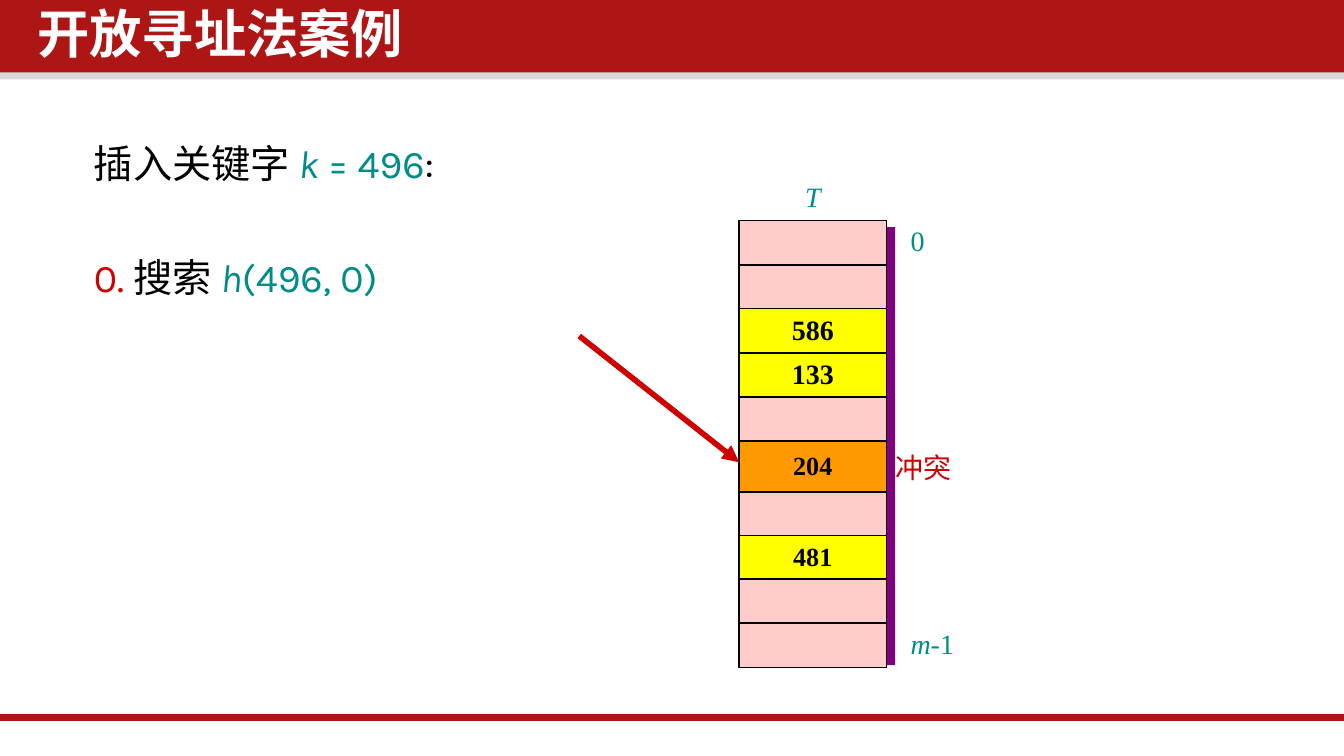
from lxml import etree
from pptx import Presentation
from pptx.dml.color import RGBColor
from pptx.enum import shapes, text
from pptx.oxml.ns import qn
from pptx.util import Inches, Pt

RED = RGBColor(0xAE, 0x16, 0x16)
BRIGHT_RED = RGBColor(0xCE, 0x00, 0x00)
GRAY = RGBColor(0xD9, 0xD9, 0xD9)
TEAL = RGBColor(0x00, 0x8C, 0x87)
PURPLE = RGBColor(0x80, 0x00, 0x80)
PINK = RGBColor(0xFF, 0xCC, 0xCC)
YELLOW = RGBColor(0xFF, 0xFF, 0x00)
ORANGE = RGBColor(0xFF, 0x99, 0x00)
BLACK = RGBColor(0, 0, 0)
WHITE = RGBColor(0xFF, 0xFF, 0xFF)

CJK, SANS, SERIF = "Noto Sans CJK SC", "Karla", "Times New Roman"
NO_STYLE = "{2D5ABB26-0587-4C30-8999-92F81FD0307C}"
TABLE_WIDTH, TABLE_HEIGHT = 2.19, 3.58

# Slots of the hash table: stored key, fill, key size
SLOTS = [
    ("", PINK, 15), ("", PINK, 15), ("586", YELLOW, 15), ("133", YELLOW, 15),
    ("", PINK, 15), ("204", ORANGE, 14), ("", PINK, 15), ("481", YELLOW, 14),
    ("", PINK, 15), ("", PINK, 15),
]
COLLISION_ROW = 6


def add_run(paragraph, words, size, font, color, bold=False, italic=False):
    run = paragraph.add_run()
    run.text = words
    run.font.size = Pt(size)
    run.font.name = font
    run.font.bold = bold
    run.font.italic = italic
    run.font.color.rgb = color
    etree.SubElement(run.font._element, qn("a:ea"), typeface=CJK)


def set_margins(box):
    box.margin_left = box.margin_right = Inches(0.07)
    box.margin_top = box.margin_bottom = Inches(0.04)


def add_bar(slide, left, top, width, height, color):
    bar = slide.shapes.add_shape(shapes.MSO_SHAPE.RECTANGLE, Inches(left),
                                 Inches(top), Inches(width), Inches(height))
    bar.shadow.inherit = False
    bar.fill.solid()
    bar.fill.fore_color.rgb = color
    bar.line.fill.background()


def add_line(slide, start, end, color, width, arrow=False):
    line = slide.shapes.add_connector(
        shapes.MSO_CONNECTOR.STRAIGHT, *map(Inches, start + end))
    line.line.color.rgb = color
    line.line.width = Pt(width)
    if arrow:
        etree.SubElement(line.line._get_or_add_ln(), qn("a:tailEnd"),
                         type="triangle")
    etree.SubElement(line._element.spPr, qn("a:effectLst"))


def set_title(slide, words):
    title = slide.shapes.title
    title.left, title.top = Inches(0.21), Inches(0.06)
    title.width, title.height = Inches(7.64), Inches(0.59)
    frame = title.text_frame
    set_margins(frame)
    frame.margin_top = 0
    frame.auto_size = text.MSO_AUTO_SIZE.NONE
    frame.vertical_anchor = text.MSO_ANCHOR.TOP
    heading = frame.paragraphs[0]
    heading.alignment = text.PP_ALIGN.LEFT
    heading.line_spacing = 0.9
    add_run(heading, words, 28, CJK, WHITE, bold=True)


def add_steps(slide, steps):
    frame = slide.shapes.add_textbox(Inches(0.6), Inches(1.03), Inches(8.62),
                                     Inches(3.57)).text_frame
    frame.word_wrap = True
    for i, parts in enumerate(steps):
        step = frame.add_paragraph() if i else frame.paragraphs[0]
        step.line_spacing = 0.9
        step.space_before = Pt(38 if i else 0)
        for words, color, italic in parts:
            add_run(step, words, 21, SANS, color, italic=italic)


def add_border(cell, sides):
    properties = cell._tc.get_or_add_tcPr()
    for i, side in enumerate(sides):
        line = etree.Element(qn(f"a:ln{side}"), w=str(Pt(1)))
        fill = etree.SubElement(line, qn("a:solidFill"))
        etree.SubElement(fill, qn("a:srgbClr"), val=str(BLACK))
        properties.insert(i, line)


def fill_cell(cell, runs, color=None, centered=False, indent=0):
    set_margins(cell)
    cell.margin_left = Inches(0.07 + indent)
    cell.vertical_anchor = text.MSO_ANCHOR.MIDDLE
    if color is None:
        cell.fill.background()
    else:
        cell.fill.solid()
        cell.fill.fore_color.rgb = color
    paragraph = cell.text_frame.paragraphs[0]
    if centered:
        paragraph.alignment = text.PP_ALIGN.CENTER
    for run in runs:
        add_run(paragraph, *run)
    if not runs:
        # An empty cell keeps the row height only with a small end mark
        etree.SubElement(paragraph._p, qn("a:endParaRPr"), sz="1400")


def add_hash_table(slide):
    rows = len(SLOTS) + 1
    table = slide.shapes.add_table(
        rows, 2, Inches(5.5), Inches(1.31), Inches(TABLE_WIDTH),
        Inches(TABLE_HEIGHT)).table
    table.first_row = table.horz_banding = False
    table._tbl.tblPr.find(qn("a:tableStyleId")).text = NO_STYLE
    table.rows[COLLISION_ROW].height = Inches(0.38)

    # Labels beside the slots, by row: runs and indent
    labels = {
        1: ([("0", 15, SERIF, TEAL)], 0.11),
        COLLISION_ROW: ([("冲突", 15, SERIF, BRIGHT_RED)], 0),
        10: ([("m", 15, SERIF, TEAL, False, True),
              ("-1", 15, SERIF, TEAL)], 0.11),
    }
    fill_cell(table.cell(0, 0), [("T", 15, SERIF, TEAL, False, True)],
              centered=True)
    add_border(table.cell(0, 0), "B")
    fill_cell(table.cell(0, 1), [])
    for row, (key, color, size) in enumerate(SLOTS, start=1):
        runs = [(key, size, SERIF, BLACK, True)] if key else []
        slot, side = table.cell(row, 0), table.cell(row, 1)
        fill_cell(slot, runs, color, centered=True)
        add_border(slot, "LRTB")
        label, indent = labels.get(row, ([], 0))
        fill_cell(side, label, indent=indent)
        add_border(side, "L")


def main():
    deck = Presentation()
    # Widescreen, 16 to 9
    deck.slide_width, deck.slide_height = Inches(10), Inches(10) * 9 // 16
    slide = deck.slides.add_slide(deck.slide_layouts[5])

    # Header and footer; the title is moved above the header bars
    add_bar(slide, 0, 0.5, 10, 0.09, GRAY)
    add_bar(slide, 0, 0, 10, 0.54, RED)
    add_line(slide, (0, 5.34), (10, 5.34), RED, 4)
    slide.shapes._spTree.append(slide.shapes.title._element)
    set_title(slide, "开放寻址法案例")

    # Insertion steps
    add_steps(slide, [
        [("插入关键字 ", BLACK, False), ("k", TEAL, True),
         (" = 496", TEAL, False), (":", BLACK, False)],
        [("0. ", BRIGHT_RED, False), ("搜索 ", BLACK, False),
         ("h", TEAL, True), ("(496, 0)", TEAL, False)],
    ])

    # Hash table with its backing block, and the probe arrow
    add_bar(slide, 5.64, 1.69, 1.02, 3.26, PURPLE)
    add_hash_table(slide)
    add_line(slide, (4.31, 2.5), (5.5, 3.44), BRIGHT_RED, 3, arrow=True)

    deck.save("out.pptx")


if __name__ == "__main__":
    main()
